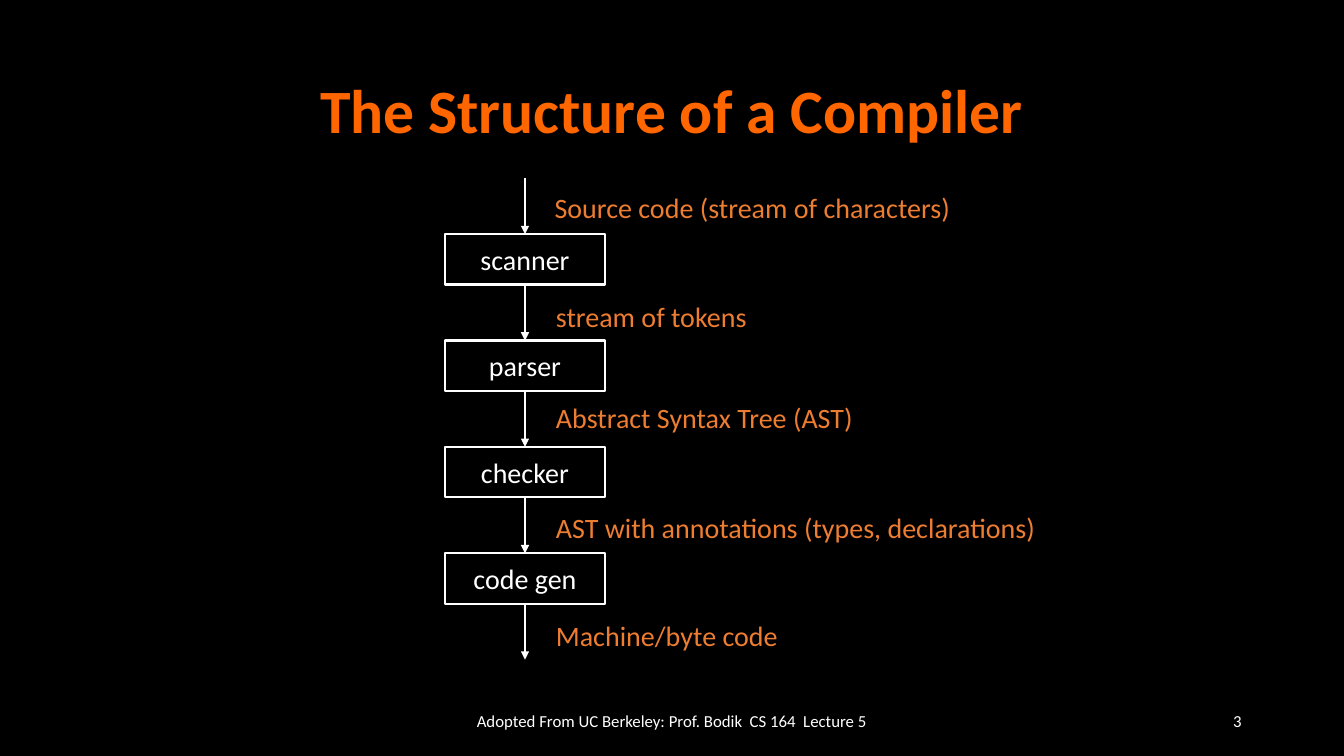
from pptx import Presentation
from pptx.dml.color import RGBColor
from pptx.enum.shapes import MSO_CONNECTOR, MSO_SHAPE
from pptx.enum.text import MSO_ANCHOR, PP_ALIGN
from pptx.oxml.ns import qn
from pptx.util import Pt
from lxml.etree import SubElement

COLORS = {"background": "000000", "title": "FF6600", "label": "ED7D31", "white": "FFFFFF"}
FONT = "Calibri"

STAGES = ["scanner", "parser", "checker", "code gen"]
BOX_LEFT, BOX_TOP, BOX_WIDTH, BOX_HEIGHT = 318, 167.25, 114, 36
STAGE_STEP = 76
ARROW_LENGTH = STAGE_STEP - BOX_HEIGHT

# Data passed between stages: text, left, top, width
LABELS = [
    ("Source code (stream of characters)", 389, 132.5, 301),
    ("stream of tokens", 390, 210.25, 153.5),
    ("Abstract Syntax Tree (AST)", 390, 282.25, 231),
    ("AST with annotations (types, declarations)", 390, 360.75, 361),
    ("Machine/byte code", 390, 438.5, 175),
]


def rgb(name):
    return RGBColor.from_string(COLORS[name])


def set_text(s, text, size, color, align, anchor=MSO_ANCHOR.MIDDLE, wrap=True, bold=False):
    tf = s.text_frame
    tf.text = text
    tf.word_wrap = wrap
    tf.vertical_anchor = anchor
    p = tf.paragraphs[0]
    p.alignment = align
    font = p.runs[0].font
    font.name, font.size, font.bold = FONT, Pt(size), bold
    font.color.rgb = rgb(color)
    return p


def add_text(slide, box, *args, **kwargs):
    """Add a text box at box (left, top, width, height); the rest goes to set_text."""
    s = slide.shapes.add_textbox(*[Pt(v) for v in box])
    return set_text(s, *args, **kwargs)


def add_stage(slide, name, top):
    s = slide.shapes.add_shape(MSO_SHAPE.RECTANGLE, Pt(BOX_LEFT), Pt(top),
                               Pt(BOX_WIDTH), Pt(BOX_HEIGHT))
    s.shadow.inherit = False
    s.fill.background()
    s.line.color.rgb = rgb("white")
    s.line.width = Pt(1.5)
    set_text(s, name, 20, "white", PP_ALIGN.CENTER, wrap=False)
    return s


def add_arrow(slide, top, source=None, target=None):
    """Add a downward arrow, joined to the stages above and below where given."""
    x = Pt(BOX_LEFT + BOX_WIDTH / 2)
    c = slide.shapes.add_connector(MSO_CONNECTOR.STRAIGHT, x, Pt(top), x, Pt(top + ARROW_LENGTH))
    if source is not None:
        c.begin_connect(source, 2)
    if target is not None:
        c.end_connect(target, 0)
    c.line.color.rgb = rgb("white")
    c.line.width = Pt(1)
    SubElement(c.line._get_or_add_ln(), qn("a:tailEnd"), type="triangle")
    SubElement(c._element.spPr, qn("a:effectLst"))


def main():
    prs = Presentation()
    prs.slide_width, prs.slide_height = Pt(960), Pt(540)
    slide = prs.slides.add_slide(prs.slide_layouts[6])
    slide.background.fill.solid()
    slide.background.fill.fore_color.rgb = rgb("background")

    title = add_text(slide, (66, 28.75, 828, 104.5), "The Structure of a Compiler",
                     44, "title", PP_ALIGN.CENTER, bold=True)
    title.line_spacing = 0.9

    stages = [add_stage(slide, name, BOX_TOP + i * STAGE_STEP) for i, name in enumerate(STAGES)]
    for i, (source, target) in enumerate(zip([None] + stages, stages + [None])):
        add_arrow(slide, BOX_TOP - ARROW_LENGTH + i * STAGE_STEP, source, target)

    for text, left, top, width in LABELS:
        add_text(slide, (left, top, width, 31.5), text, 20, "label", PP_ALIGN.LEFT,
                 anchor=MSO_ANCHOR.TOP, wrap=False)

    add_text(slide, (318, 500.5, 324, 28.75),
             "Adopted From UC Berkeley: Prof. Bodik  CS 164  Lecture 5",
             12, "white", PP_ALIGN.CENTER)
    add_text(slide, (678, 500.5, 216, 28.75), "3", 12, "white", PP_ALIGN.RIGHT)
    prs.save("out.pptx")


if __name__ == "__main__":
    main()
